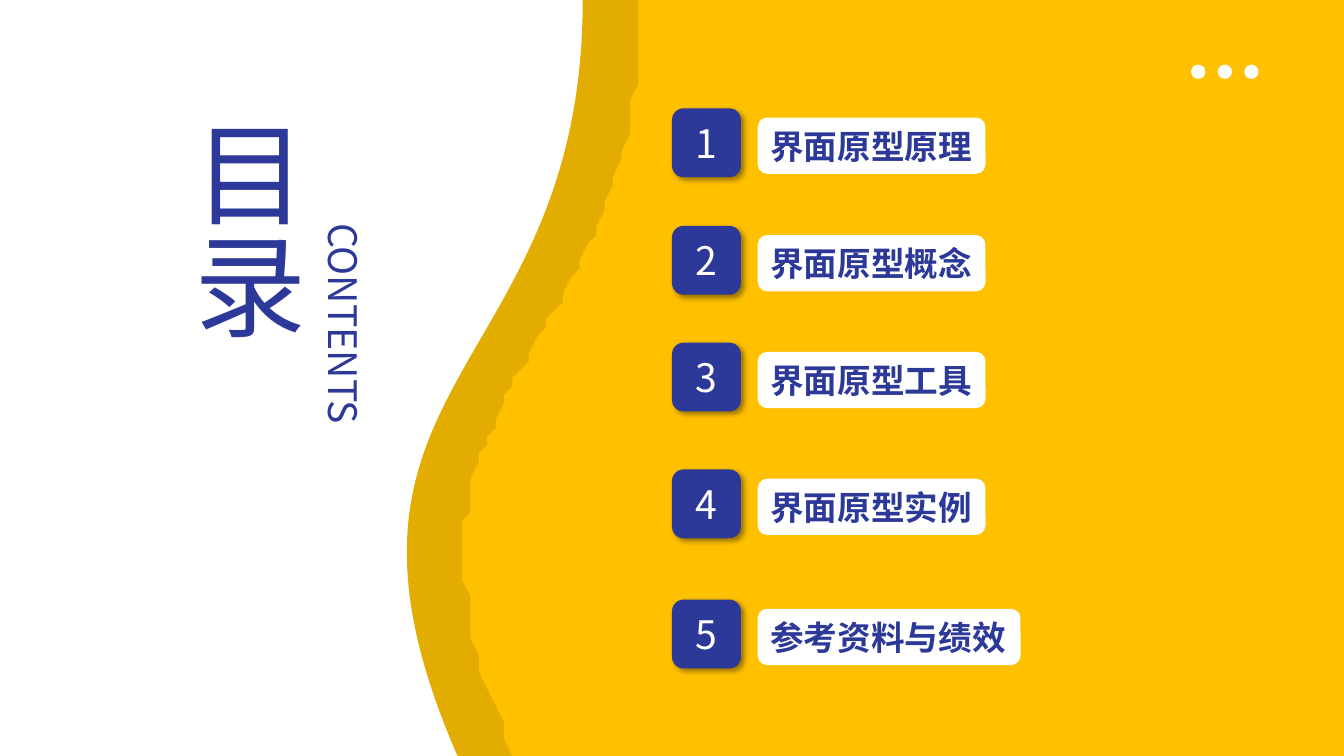
import lxml.etree
import pptx
import pptx.dml.color
import pptx.enum.shapes
import pptx.enum.text
import pptx.oxml.ns
import pptx.util

FONT = "Noto Sans CJK SC"
BLUE = "2C3998"
WHITE = "FFFFFF"
YELLOW = "FFC000"
DARK_YELLOW = "E2AC00"
COLUMNS, ROWS = 160, 90
CURVE_STEPS = 60

presentation = pptx.Presentation()
presentation.slide_width = pptx.util.Inches(13.33)
presentation.slide_height = pptx.util.Inches(7.5)
slide = presentation.slides.add_slide(presentation.slide_layouts[6])
shapes = slide.shapes
kinds = pptx.enum.shapes.MSO_SHAPE
alignments = pptx.enum.text.PP_ALIGN
unit = presentation.slide_width / COLUMNS


def paint(target, colour):
    target.fill.solid()
    target.fill.fore_color.rgb = pptx.dml.color.RGBColor.from_string(colour)
    if hasattr(target, "line"):
        target.line.fill.background()
        target.shadow.inherit = False


def write(text, shape, size, colour=BLUE, bold=False, align=alignments.LEFT, wrap=True, vertical=False):
    frame = shape.text_frame
    frame.word_wrap = wrap
    if vertical:
        frame._txBody.bodyPr.set("vert", "eaVert")
    else:
        frame.vertical_anchor = pptx.enum.text.MSO_ANCHOR.MIDDLE
    paragraph = frame.paragraphs[0]
    paragraph.alignment = align
    run = paragraph.add_run()
    run.text = text
    run.font.size = pptx.util.Pt(size)
    run.font.bold = bold
    run.font.name = FONT
    paint(run.font, colour)
    east_asian = lxml.etree.SubElement(run._r.get_or_add_rPr(), pptx.oxml.ns.qn("a:ea"))
    east_asian.set("typeface", FONT)


wave_length = 113
wave = shapes.add_shape(
    kinds.FLOWCHART_DOCUMENT,
    *[round(length * unit) for length in (
        COLUMNS - (wave_length + ROWS) / 2, (ROWS - wave_length) / 2, ROWS, wave_length)])
wave.rotation = 90
wave._element.spPr.xfrm.set("flipH", "1")
paint(wave, DARK_YELLOW)

curve_columns = (76.2, 76.2, 41.6, 61.3)
curve_rows = (0, ROWS / 2, ROWS / 2, ROWS)
curve = []
for step in range(CURVE_STEPS + 1):
    t = step / CURVE_STEPS
    weights = ((1 - t) ** 3, 3 * t * (1 - t) ** 2, 3 * t ** 2 * (1 - t), t ** 3)
    curve.append(tuple(
        sum(weight * place for weight, place in zip(weights, places))
        for places in (curve_columns, curve_rows)))
builder = shapes.build_freeform(COLUMNS, 0, scale=unit)
builder.add_line_segments(curve + [(COLUMNS, ROWS)], close=True)
paint(builder.convert_to_shape(), YELLOW)

for index in range(3):
    dot = shapes.add_shape(
        kinds.OVAL, *[round(length * unit) for length in (141.8 + 3.17 * index, 7.7, 1.7, 1.7)])
    paint(dot, WHITE)

headings = [
    ("目录", 80, (19.8, 12.9, 18.1, 32.3)),
    ("CONTENTS", 28, (36.4, 25.4, 8, 30.5)),
]
for text, size, area in headings:
    box = shapes.add_textbox(*[round(length * unit) for length in area])
    write(text, box, size, align=alignments.JUSTIFY, vertical=True)

chapters = [
    (12.9, "界面原型原理"),
    (26.9, "界面原型概念"),
    (40.8, "界面原型工具"),
    (55.9, "界面原型实例"),
    (71.4, "参考资料与绩效"),
]
for number, (row, title) in enumerate(chapters, start=1):
    badge = shapes.add_shape(
        kinds.ROUNDED_RECTANGLE, *[round(length * unit) for length in (COLUMNS / 2, row, 8.2, 8.2)])
    paint(badge, BLUE)
    effects = badge._element.spPr.find(pptx.oxml.ns.qn("a:effectLst"))
    shadow = lxml.etree.SubElement(
        effects, pptx.oxml.ns.qn("a:outerShdw"),
        blurRad=str(pptx.util.Pt(4)), dist=str(pptx.util.Pt(3)), dir="2700000", algn="tl", rotWithShape="0")
    shade = lxml.etree.SubElement(shadow, pptx.oxml.ns.qn("a:srgbClr"), val="000000")
    lxml.etree.SubElement(shade, pptx.oxml.ns.qn("a:alpha"), val="40000")
    write(str(number), badge, 28, colour=WHITE, align=alignments.CENTER)

    label = shapes.add_shape(
        kinds.ROUNDED_RECTANGLE,
        *[round(length * unit) for length in (90.2, row + 1.1, 2.1 + 4.17 * len(title), 6.7)])
    paint(label, WHITE)
    write(title, label, 24, bold=True, wrap=False)

presentation.save("out.pptx")
